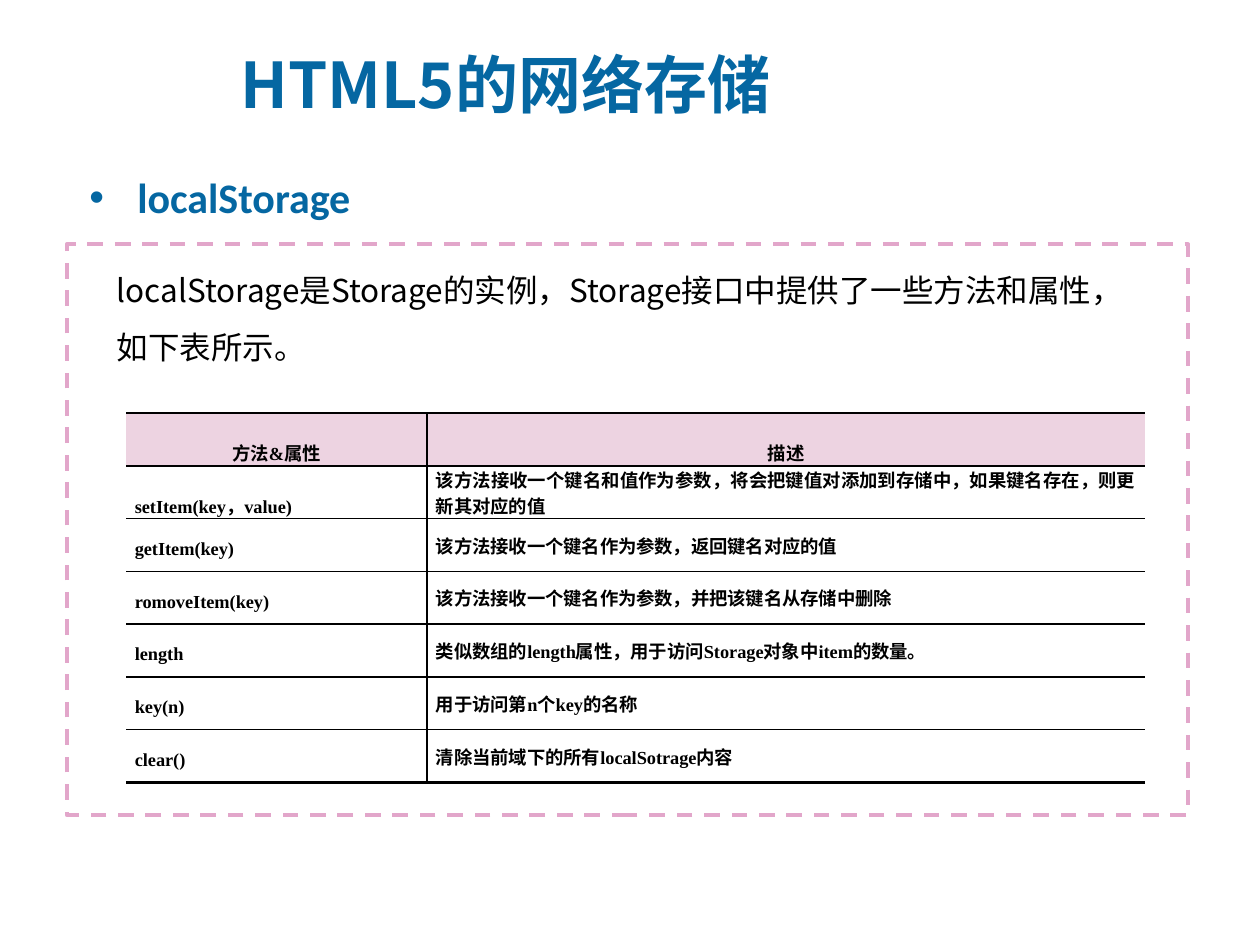
from lxml import etree
from pptx import Presentation
from pptx import util as u
from pptx.dml.color import RGBColor
from pptx.enum import dml, shapes, text
from pptx.oxml.ns import qn

COLORS = {
    "heading": "0567A2",
    "body": "000000",
    "frame": "E2A6CA",
    "header": "EDD3E1",
    "paper": "FFFFFF",
}
CHINESE_FONT = "Noto Sans CJK SC"
PLAIN_TABLE_STYLE = "{2D5ABB26-0587-4C30-8999-92F81FD0307C}"
FORMATS = {
    "title": {"size": u.Pt(36), "bold": True, "name": CHINESE_FONT},
    "bullet": {"size": u.Pt(24), "bold": True, "name": "Calibri"},
    "intro": {"size": u.Pt(18), "bold": False, "name": CHINESE_FONT},
    "cell": {"size": u.Pt(10.5), "bold": True, "name": "Times New Roman"},
}
ROWS = [
    ("方法&属性", "描述"),
    ("setItem(key，value)",
     "该方法接收一个键名和值作为参数，将会把键值对添加到存储中，如果键名存在，则更新其对应的值"),
    ("getItem(key)", "该方法接收一个键名作为参数，返回键名对应的值"),
    ("romoveItem(key)", "该方法接收一个键名作为参数，并把该键名从存储中删除"),
    ("length", "类似数组的length属性，用于访问Storage对象中item的数量。"),
    ("key(n)", "用于访问第n个key的名称"),
    ("clear()", "清除当前域下的所有localSotrage内容"),
]


def set_all(target, values):
    for name, value in values.items():
        setattr(target, name, value)


class SlideBuilder:
    def __init__(self, slide):
        self.slide = slide

    def color(self, name):
        return RGBColor.from_string(COLORS[name])

    def place(self, shape, box):
        set_all(shape, dict(zip(("left", "top", "width", "height"), map(u.Inches, box))))

    def fill_text(self, frame, content, style, color, **paragraph_format):
        paragraph = frame.paragraphs[0]
        set_all(paragraph, paragraph_format)
        run = paragraph.add_run()
        run.text = content
        set_all(run.font, FORMATS[style])
        run.font.color.rgb = self.color(color)
        east_asian = etree.SubElement(run.font._element, qn("a:ea"))
        east_asian.set("typeface", CHINESE_FONT)
        return paragraph

    def title(self, content, box):
        shape = self.slide.shapes.title
        self.place(shape, box)
        set_all(shape.text_frame, {
            "vertical_anchor": text.MSO_ANCHOR.MIDDLE,
            "auto_size": text.MSO_AUTO_SIZE.NONE,
        })
        self.fill_text(shape.text_frame, content, "title", "heading",
                       alignment=text.PP_ALIGN.LEFT)

    def bullet(self, content, box):
        shape = self.slide.placeholders[1]
        self.place(shape, box)
        set_all(shape.text_frame, {
            "word_wrap": False,
            "auto_size": text.MSO_AUTO_SIZE.SHAPE_TO_FIT_TEXT,
        })
        paragraph = self.fill_text(shape.text_frame, content, "bullet", "heading",
                                   line_spacing=1.5)
        properties = paragraph._p.get_or_add_pPr()
        indent = u.Inches(0.38)
        properties.set("marL", str(indent))
        properties.set("indent", str(-indent))

    def frame(self, box):
        shape = self.slide.shapes.add_shape(
            shapes.MSO_SHAPE.RECTANGLE, *map(u.Inches, box))
        shape.shadow.inherit = False
        shape.fill.solid()
        shape.fill.fore_color.rgb = self.color("paper")
        shape.line.color.rgb = self.color("frame")
        set_all(shape.line, {
            "width": u.Pt(2.25),
            "dash_style": dml.MSO_LINE.DASH,
        })

    def textbox(self, content, box):
        frame = self.slide.shapes.add_textbox(*map(u.Inches, box)).text_frame
        frame.word_wrap = True
        self.fill_text(frame, content, "intro", "body", line_spacing=1.5)

    def borders(self, cell, widths):
        properties = cell._tc.get_or_add_tcPr()
        for index, (side, width) in enumerate(widths.items()):
            line = etree.Element(qn(f"a:ln{side}"), w=str(u.Pt(width)))
            if width:
                fill = etree.SubElement(line, qn("a:solidFill"))
                etree.SubElement(fill, qn("a:srgbClr"), val=COLORS["body"])
            else:
                etree.SubElement(line, qn("a:noFill"))
            properties.insert(index, line)

    def table(self, rows, box, column_widths):
        graphic = self.slide.shapes.add_table(
            len(rows), len(column_widths), *map(u.Inches, box))
        table = graphic.table
        set_all(table, {"first_row": False, "horz_banding": False})
        table._tbl.tblPr.find(qn("a:tableStyleId")).text = PLAIN_TABLE_STYLE
        for column, width in zip(table.columns, column_widths):
            column.width = u.Inches(width)
        last = len(rows) - 1
        for row_index, row in enumerate(rows):
            for column_index, content in enumerate(row):
                self.cell(table.cell(row_index, column_index), content,
                          row_index == 0, row_index == last, column_index == 0)

    def cell(self, cell, content, is_header, is_last, is_name):
        is_description = not (is_header or is_name)
        set_all(cell, {
            "margin_left": u.Inches(0.07),
            "margin_right": u.Inches(0.07),
            "margin_top": 0,
            "margin_bottom": 0,
            "vertical_anchor": (text.MSO_ANCHOR.MIDDLE if is_description
                                else text.MSO_ANCHOR.TOP),
        })
        if is_header:
            alignment = text.PP_ALIGN.CENTER
            cell.fill.solid()
            cell.fill.fore_color.rgb = self.color("header")
        else:
            alignment = text.PP_ALIGN.LEFT if is_name else text.PP_ALIGN.JUSTIFY
            cell.fill.background()
        self.fill_text(cell.text_frame, content, "cell", "body", alignment=alignment,
                       line_spacing=1.0 if is_description else 2.0)
        self.borders(cell, {
            "L": 0 if is_name else 1,
            "R": 1 if is_name else 0,
            "T": 1.5 if is_header else 1,
            "B": 1.5 if is_last else 1,
        })


def main():
    presentation = Presentation()
    set_all(presentation, {"slide_width": u.Inches(10), "slide_height": u.Inches(7.5)})
    builder = SlideBuilder(presentation.slides.add_slide(presentation.slide_layouts[1]))
    builder.frame((0.53, 1.94, 8.9, 4.53))
    builder.textbox(
        "localStorage是Storage的实例，Storage接口中提供了一些方法和属性，如下表所示。",
        (0.83, 1.95, 8.38, 1.01))
    builder.title("HTML5的网络存储", (1.81, 0.27, 8.18, 0.79))
    builder.bullet("localStorage", (0.61, 1.11, 2.44, 0.64))
    builder.table(ROWS, (1, 3.28, 8.09, 2.93), (2.39, 5.7))
    presentation.save("out.pptx")


if __name__ == "__main__":
    main()
